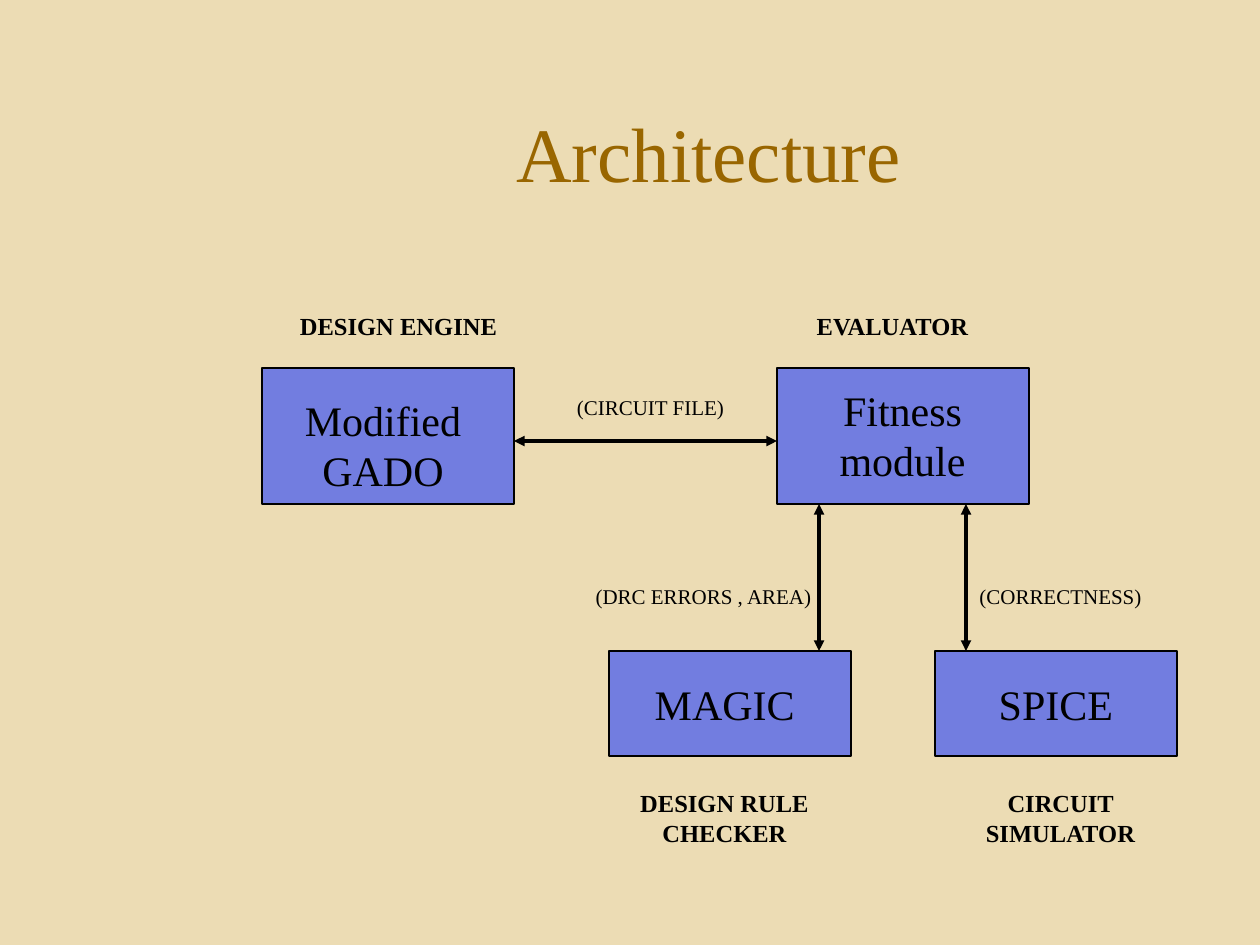
import pptx
import pptx.util
import pptx.dml.color
import pptx.enum.shapes
import pptx.enum.text
import pptx.oxml.xmlchemy

RGB = pptx.dml.color.RGBColor
SAND = RGB(0xEC, 0xDC, 0xB4)
BROWN = RGB(0x99, 0x66, 0x00)
BLUE = RGB(0x72, 0x7D, 0xE0)
BLACK = RGB(0, 0, 0)
FONT = "Times New Roman"
SCALE = 914400 / 126


def px(*nums):
    """Turn px lengths into EMU."""
    return [pptx.util.Emu(round(n * SCALE)) for n in nums]


def write(frame, text, size, color, bold=False):
    frame.word_wrap = True
    frame.text = text
    para = frame.paragraphs[0]
    para.alignment = pptx.enum.text.PP_ALIGN.CENTER
    font = para.runs[0].font
    font.name = FONT
    font.size = pptx.util.Pt(size)
    font.bold = bold
    font.color.rgb = color


deck = pptx.Presentation()
deck.slide_width, deck.slide_height = px(1260, 945)
slide = deck.slides.add_slide(deck.slide_layouts[5])
slide.background.fill.solid()
slide.background.fill.fore_color.rgb = SAND
shapes = slide.shapes

title = shapes.title
title.left, title.top, title.width, title.height = px(189, 73, 1040, 157)
title.text_frame.vertical_anchor = pptx.enum.text.MSO_ANCHOR.MIDDLE
write(title.text_frame, "Architecture", 44, BROWN)

# Blocks
for block in [
    (262, 368, 252, 136),
    (777, 368, 252, 136),
    (609, 651, 242, 105),
    (935, 651, 242, 105),
]:
    rect = shapes.add_shape(pptx.enum.shapes.MSO_SHAPE.RECTANGLE, *px(*block))
    rect.shadow.inherit = False
    rect.fill.solid()
    rect.fill.fore_color.rgb = BLUE
    rect.line.color.rgb = BLACK
    rect.line.width = pptx.util.Pt(1)

# Two-way arrows
for ends in [
    (514, 441, 777, 441),
    (819, 504, 819, 651),
    (966, 504, 966, 651),
]:
    arrow = shapes.add_connector(
        pptx.enum.shapes.MSO_CONNECTOR.STRAIGHT, *px(*ends))
    arrow.line.color.rgb = BLACK
    arrow.line.width = pptx.util.Pt(2)
    line = arrow.line._get_or_add_ln()
    for tag in ("a:headEnd", "a:tailEnd"):
        tip = pptx.oxml.xmlchemy.OxmlElement(tag)
        tip.set("type", "triangle")
        line.append(tip)
    arrow._element.spPr.append(pptx.oxml.xmlchemy.OxmlElement("a:effectLst"))

# Block names, flow notes and role labels
for size, bold, texts in [
    (24, False, [
        ("Modified GADO", 262, 388, 242, 113),
        ("Fitness module", 766, 378, 273, 113),
        ("MAGIC ", 609, 672, 242, 63),
        ("SPICE", 935, 672, 242, 63),
    ]),
    (12, False, [
        ("(CIRCUIT FILE)", 514, 388, 273, 38),
        ("(DRC ERRORS , AREA)", 567, 577, 273, 38),
        ("(CORRECTNESS)", 924, 577, 273, 38),
    ]),
    (14, True, [
        ("DESIGN ENGINE", 262, 305, 273, 43),
        ("EVALUATOR", 756, 305, 273, 43),
        ("DESIGN RULE CHECKER", 588, 782, 273, 72),
        ("CIRCUIT SIMULATOR", 924, 782, 273, 72),
    ]),
]:
    for text, *place in texts:
        box = shapes.add_textbox(*px(*place))
        write(box.text_frame, text, size, BLACK, bold)

deck.save("out.pptx")
